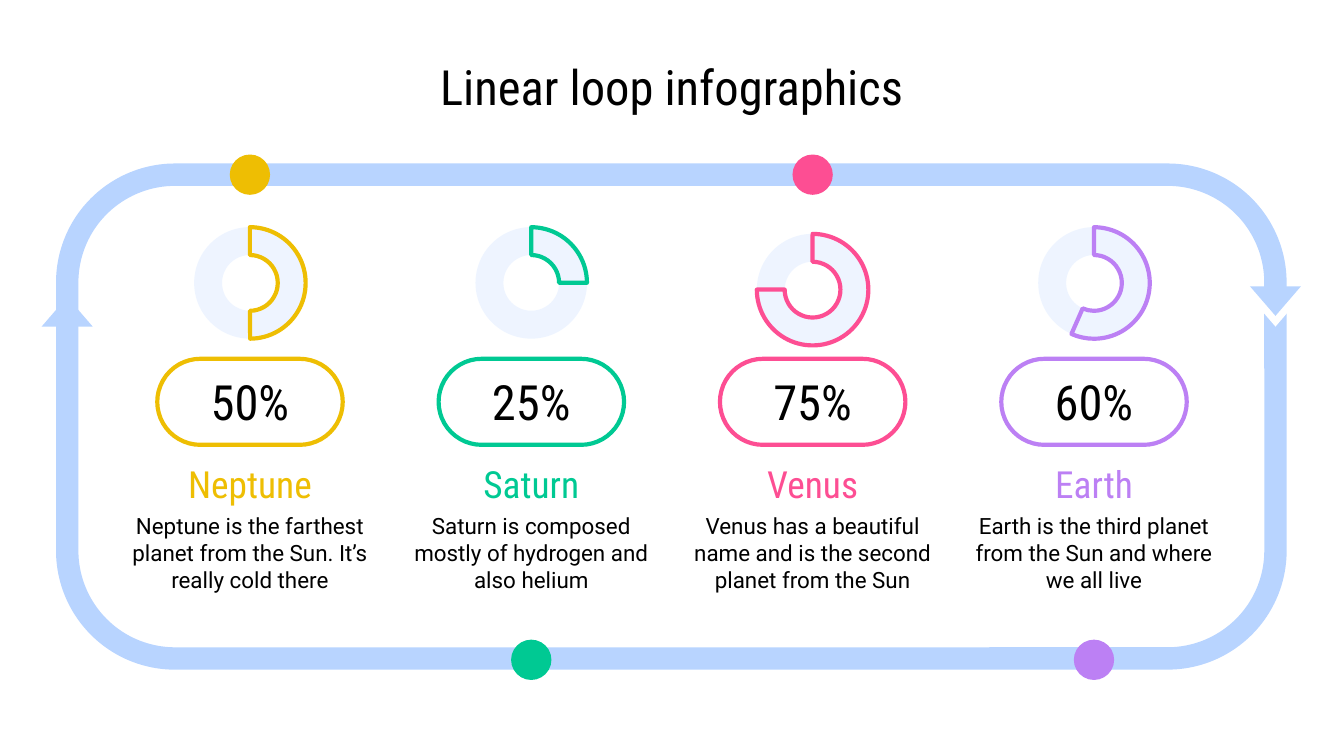
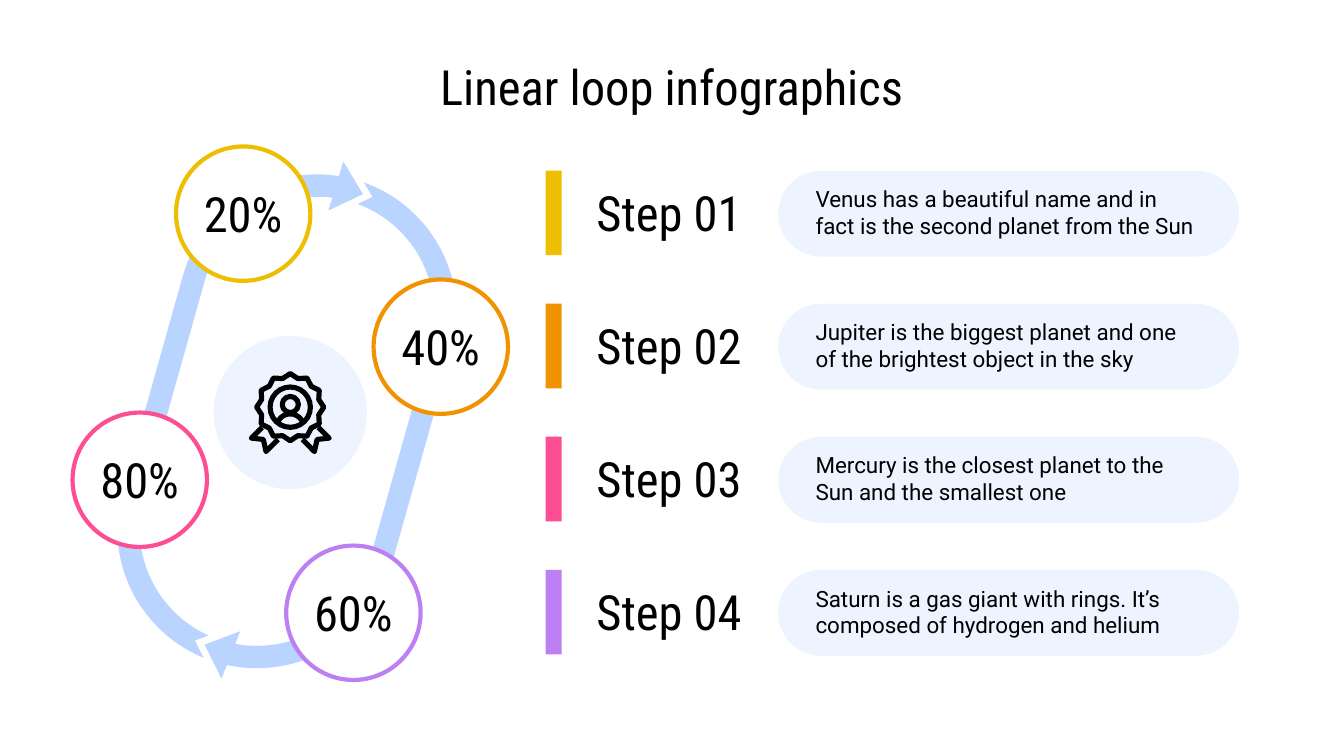
from math import cos, radians, sin

from lxml import etree
from pptx import Presentation
from pptx.dml.color import RGBColor
from pptx.enum.shapes import MSO_SHAPE
from pptx.enum.text import MSO_ANCHOR, MSO_AUTO_SIZE, PP_ALIGN
from pptx.oxml.ns import qn
from pptx.util import Inches, Pt

ROUND, OVAL, RECT = MSO_SHAPE.ROUNDED_RECTANGLE, MSO_SHAPE.OVAL, MSO_SHAPE.RECTANGLE
HEAD, DONUT, ARC = MSO_SHAPE.ISOSCELES_TRIANGLE, MSO_SHAPE.DONUT, MSO_SHAPE.BLOCK_ARC
MID, TOP = MSO_ANCHOR.MIDDLE, MSO_ANCHOR.TOP
LEFT, CENTER = PP_ALIGN.LEFT, PP_ALIGN.CENTER
FIXED = MSO_AUTO_SIZE.NONE

BLUE, WHITE, BLACK = "B8D4FF", "FFFFFF", "000000"
GOLD, GREEN, PINK, LILAC, AMBER = "EEBE03", "00C993", "FD4E93", "BC80F4", "F19301"
BIG = {"size": Pt(26), "name": "Roboto Condensed"}
NAME = {"size": Pt(20), "name": "Roboto Condensed"}
BODY = {"size": Pt(12), "name": "Roboto"}
TITLE = "Linear loop infographics"

PLANETS = [
    ("Neptune", "50%", GOLD, 108.15, 1.69, 1.15,
     "Neptune is the farthest planet from the Sun. It’s really cold there"),
    ("Saturn", "25%", GREEN, 162.13, 1.69, 4.76,
     "Saturn is composed mostly of hydrogen and also helium"),
    ("Venus", "75%", PINK, 53.96, 1.74, 1.15,
     "Venus has a beautiful name and is the second planet from the Sun"),
    ("Earth", "60%", LILAC, 93.7, 1.69, 4.76,
     "Earth is the third planet from the Sun and where we all live"),
]
STEPS = [
    (GOLD, "Venus has a beautiful name and in fact is the second planet from the Sun"),
    (AMBER, "Jupiter is the biggest planet and one of the brightest object in the sky"),
    (PINK, "Mercury is the closest planet to the Sun and the smallest one"),
    (LILAC, "Saturn is a gas giant with rings. It’s composed of hydrogen and helium"),
]
NODES = [
    (0.96, 0, "20%", GOLD), (0.19, 1.98, "80%", PINK),
    (2.43, 0.99, "40%", AMBER), (1.78, 2.97, "60%", LILAC),
]
HEADS = [
    (2.13, 0.24, 106.9, WHITE), (2.06, 0.22, 106.9, BLUE),
    (1.01, 3.61, 291.6, WHITE), (1.08, 3.64, 291.6, BLUE),
]
RIBBON = [(0.21, 0.15), (0.29, 0.23), (0.2, 0.24), (0.18, 0.33), (0.09, 0.24)]


def color(text):
    """Turn a hex string into a colour."""
    return RGBColor.from_string(text)


def assign(item, values):
    """Set each attribute in a dict."""
    for key, value in values.items():
        setattr(item, key, value)


def paint(shape, fill=None, line=None, width=2.25, alpha=None):
    """Give a shape its fill and outline, without a shadow."""
    shape.shadow.inherit = False
    if fill:
        shape.fill.solid()
        shape.fill.fore_color.rgb = color(fill)
        if alpha:
            tone = shape.fill._xPr.find(qn("a:solidFill"))[0]
            etree.SubElement(tone, qn("a:alpha")).set("val", str(alpha * 1000))
    else:
        shape.fill.background()
    if line:
        shape.line.color.rgb = color(line)
        shape.line.width = Pt(width)
    else:
        shape.line.fill.background()


def write(shape, text, font, ink=BLACK, align=CENTER, anchor=MID, side=0.1):
    """Put one formatted paragraph into a shape."""
    frame = shape.text_frame
    assign(frame, {
        "word_wrap": True, "auto_size": FIXED, "vertical_anchor": anchor,
        "margin_left": Inches(side), "margin_right": Inches(side),
        "margin_top": Inches(0.1), "margin_bottom": Inches(0.11),
    })
    para = frame.paragraphs[0]
    para.alignment = align
    run = para.add_run()
    run.text = text
    assign(run.font, font)
    run.font.color.rgb = color(ink)


def draw(slide, kind, box, turn=0, adjust=(), **look):
    """Add a painted preset shape."""
    shape = slide.shapes.add_shape(kind, *map(Inches, box))
    shape.rotation = turn
    for i, value in enumerate(adjust):
        shape.adjustments[i] = value
    paint(shape, **look)
    return shape


def label(slide, box, text, font, **look):
    """Add a text box."""
    write(slide.shapes.add_textbox(*map(Inches, box)), text, font, **look)


def trace(slide, points, close=True):
    """Add a black outline through points in inches."""
    spots = [(Inches(x), Inches(y)) for x, y in points]
    pen = slide.shapes.build_freeform(*spots[0])
    pen.add_line_segments(spots[1:], close=close)
    paint(pen.convert_to_shape(), line=BLACK, width=2.75)


def start(deck):
    """Add a slide with the shared title."""
    slide = deck.slides.add_slide(deck.slide_layouts[5])
    title = slide.shapes.title
    spots = map(Inches, (0.45, 0.33, 9.1, 0.63))
    assign(title, dict(zip(("left", "top", "width", "height"), spots)))
    write(title, TITLE, BIG)
    return slide


def track(slide, x, y, w, h):
    """Draw the wide loop with its two arrowheads."""
    draw(slide, ROUND, (x, y, w, h), adjust=[0.223], line=BLUE, width=12)
    for mid, drop, turn, fill in (
        (x, 0.91, 0, BLUE), (x + w, 0.91, 180, WHITE), (x + w, 0.83, 180, BLUE),
    ):
        draw(slide, HEAD, (mid - 0.19, y + drop, 0.38, 0.22), turn, fill=fill)


def planet(slide, x, w, name, share, tint, angle, ring, dot, text):
    """Draw one planet column with its dial, share and text."""
    mid = x + w / 2
    label(slide, (x, 3.42, w, 0.37), name, NAME, ink=tint)
    label(slide, (x, 3.71, w, 0.81), text, BODY, anchor=TOP)
    pill = draw(slide, ROUND, (mid - 0.69, 2.67, 1.38, 0.64),
                adjust=[0.5], fill=WHITE, line=tint)
    write(pill, share, BIG)
    dial = (mid - 0.83 / 2, ring, 0.83, 0.83)
    draw(slide, DONUT, dial, adjust=[0.25], fill=BLUE, alpha=24)
    arc = draw(slide, ARC, dial, 90, [angle, 0, 0.25], line=tint)
    arc._element.spPr.find(qn("a:xfrm")).set("flipH", "1")
    draw(slide, OVAL, (mid - 0.15, dot, 0.3, 0.3), fill=tint)


def badge(slide, x, y):
    """Draw the award badge around a centre point."""
    def polar(size, angle, drop=0):
        """Find a point at an angle from the top."""
        turn = radians(angle)
        return x + size * sin(turn), y + drop - size * cos(turn)

    for side in (-1, 1):
        trace(slide, [(x + side * dx, y + dy) for dx, dy in RIBBON], False)
    trace(slide, [polar(0.22 if i % 2 else 0.25, i * 15) for i in range(24)])
    for size, drop in ((0.15, 0), (0.06, -0.02)):
        box = (x - size, y + drop - size, 2 * size, 2 * size)
        draw(slide, OVAL, box, line=BLACK, width=2.75)
    trace(slide, [polar(0.1, a, 0.15) for a in range(-60, 61, 10)], False)


def cycle(slide, x, y):
    """Draw the tilted loop with its arrowheads and share circles."""
    draw(slide, ROUND, (x, y + 1.09, 3.57, 1.91), 105.7, [0.5], line=BLUE, width=12)
    draw(slide, OVAL, (x + 1.24, y + 1.41, 1.14, 1.14), fill=BLUE, alpha=24)
    for dx, dy, turn, fill in HEADS:
        draw(slide, HEAD, (x + dx, y + dy, 0.38, 0.21), turn, fill=fill)
    for dx, dy, share, tint in NODES:
        node = draw(slide, OVAL, (x + dx, y + dy, 1, 1), fill=WHITE, line=tint)
        write(node, share, BIG, side=0)
    badge(slide, x + 1.81, y + 1.94)


def step(slide, x, y, count, tint, text):
    """Draw one step row with its bar, heading and pill."""
    draw(slide, RECT, (x, y, 0.12, 0.63), fill=tint)
    label(slide, (x + 0.17, y, 1.5, 0.63), f"Step {count:02}", BIG)
    draw(slide, ROUND, (x + 1.73, y, 3.43, 0.64), adjust=[0.5], fill=BLUE, alpha=24)
    label(slide, (x + 1.91, y + 0.01, 3.06, 0.61), text, BODY, align=LEFT, anchor=TOP)


def main():
    """Build and save both slides."""
    deck = Presentation()
    wide = Inches(10)
    assign(deck, {"slide_width": wide, "slide_height": wide * 9 // 16})
    slide = start(deck)
    track(slide, 0.5, 1.3, 8.99, 3.6)
    for i, facts in enumerate(PLANETS):
        planet(slide, 0.8 + i * 6.28 / 3, 2.12, *facts)
    slide = start(deck)
    cycle(slide, 0.35, 1.09)
    for i, facts in enumerate(STEPS):
        step(slide, 4.06, 1.27 + i * 0.99, i + 1, *facts)
    deck.save("out.pptx")


if __name__ == "__main__":
    main()
